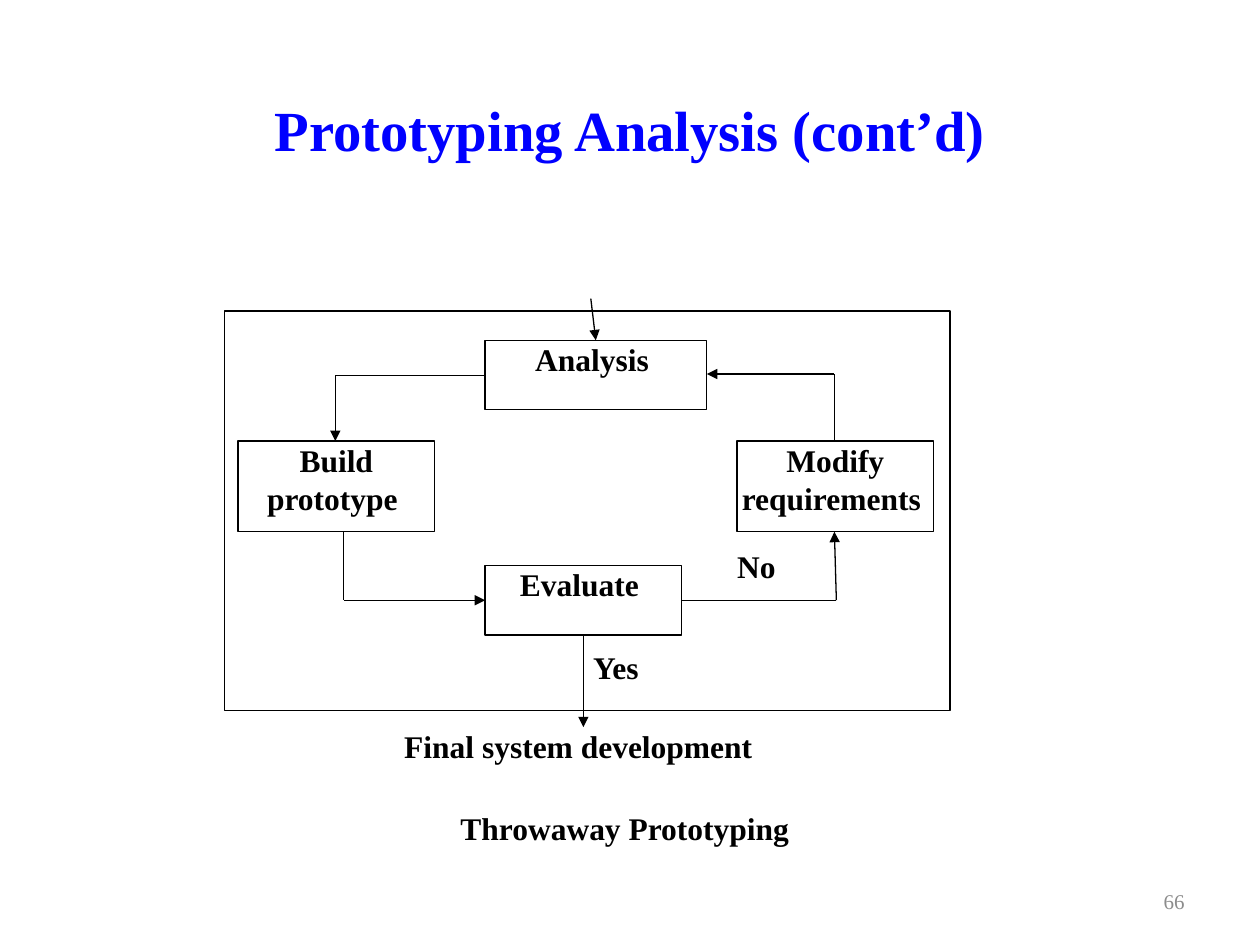
import lxml.etree
import pptx
import pptx.dml.color
import pptx.enum.shapes
import pptx.enum.text
import pptx.oxml.ns
import pptx.util

Cm = pptx.util.Cm
Pt = pptx.util.Pt
RGBColor = pptx.dml.color.RGBColor
PP_ALIGN = pptx.enum.text.PP_ALIGN
MSO_ANCHOR = pptx.enum.text.MSO_ANCHOR
qn = pptx.oxml.ns.qn

BLACK = RGBColor(0x00, 0x00, 0x00)
WHITE = RGBColor(0xFF, 0xFF, 0xFF)
BLUE = RGBColor(0x00, 0x00, 0xFF)
GRAY = RGBColor(0x8C, 0x8C, 0x8C)
FONT = "Times New Roman"


def write_text(shape, text, size, color, bold, alignment, anchor):
    text_frame = shape.text_frame
    text_frame.word_wrap = True
    text_frame.vertical_anchor = anchor
    text_frame.text = text
    paragraph = text_frame.paragraphs[0]
    paragraph.alignment = alignment
    font = paragraph.runs[0].font
    font.name = FONT
    font.size = Pt(size)
    font.bold = bold
    font.color.rgb = color


def add_box(slide, left, top, width, height, line_color):
    shape = slide.shapes.add_shape(
        pptx.enum.shapes.MSO_SHAPE.RECTANGLE, Cm(left), Cm(top), Cm(width), Cm(height))
    shape.shadow.inherit = False
    shape.fill.solid()
    shape.fill.fore_color.rgb = WHITE
    shape.line.color.rgb = line_color
    shape.line.width = Pt(0.75)
    text_frame = shape.text_frame
    text_frame.margin_left = text_frame.margin_right = 0
    text_frame.margin_top = text_frame.margin_bottom = 0
    return shape


presentation = pptx.Presentation()
presentation.slide_width = Cm(25.4)
presentation.slide_height = Cm(19.05)
slide = presentation.slides.add_slide(presentation.slide_layouts[6])

title = slide.shapes.add_textbox(Cm(1.27), Cm(1.0), Cm(22.86), Cm(3.18))
write_text(title, "Prototyping Analysis (cont’d)", 32.4, BLUE, True,
           PP_ALIGN.CENTER, MSO_ANCHOR.MIDDLE)
page_number = slide.shapes.add_textbox(Cm(18.2), Cm(17.65), Cm(5.93), Cm(1.02))
write_text(page_number, "66", 12, GRAY, False, PP_ALIGN.RIGHT, MSO_ANCHOR.MIDDLE)

add_box(slide, 4.52, 6.27, 14.63, 8.05, BLACK)

boxes = [
    ("Analysis ", 9.78, 6.86, 4.47, 1.4, BLACK, PP_ALIGN.CENTER),
    ("Modify requirements ", 14.86, 8.89, 3.96, 1.83, BLACK, PP_ALIGN.CENTER),
    ("Evaluate ", 9.78, 11.4, 3.96, 1.4, BLACK, PP_ALIGN.CENTER),
    ("Build prototype ", 4.8, 8.89, 3.96, 1.83, BLACK, PP_ALIGN.CENTER),
    ("Throwaway Prototyping", 6.78, 16.31, 11.63, 1.24, WHITE, PP_ALIGN.CENTER),
    ("Final system development", 8.15, 14.66, 7.72, 1.02, WHITE, PP_ALIGN.LEFT),
    ("No", 14.86, 11.02, 1.02, 0.81, WHITE, PP_ALIGN.LEFT),
    ("Yes", 11.96, 13.06, 1.42, 0.94, WHITE, PP_ALIGN.LEFT),
]
for text, left, top, width, height, line_color, alignment in boxes:
    box = add_box(slide, left, top, width, height, line_color)
    write_text(box, text, 18, BLACK, True, alignment, MSO_ANCHOR.TOP)

routes = [
    [(11.91, 6.02), (12.01, 6.86)],
    [(9.78, 7.57), (6.76, 7.57), (6.76, 8.89)],
    [(6.93, 10.72), (6.93, 12.1), (9.78, 12.1)],
    [(13.74, 12.1), (16.86, 12.1), (16.82, 10.72)],
    [(16.82, 8.89), (16.82, 7.54), (14.25, 7.54)],
    [(11.76, 12.8), (11.76, 14.66)],
]
for route in routes:
    for start, end in zip(route, route[1:]):
        connector = slide.shapes.add_connector(
            pptx.enum.shapes.MSO_CONNECTOR.STRAIGHT,
            Cm(start[0]), Cm(start[1]), Cm(end[0]), Cm(end[1]))
        connector.line.color.rgb = BLACK
        connector.line.width = Pt(0.75)
        if end == route[-1]:
            line = connector.line._get_or_add_ln()
            lxml.etree.SubElement(line, qn("a:tailEnd"), type="triangle")
        lxml.etree.SubElement(connector._element.spPr, qn("a:effectLst"))

presentation.save("out.pptx")
